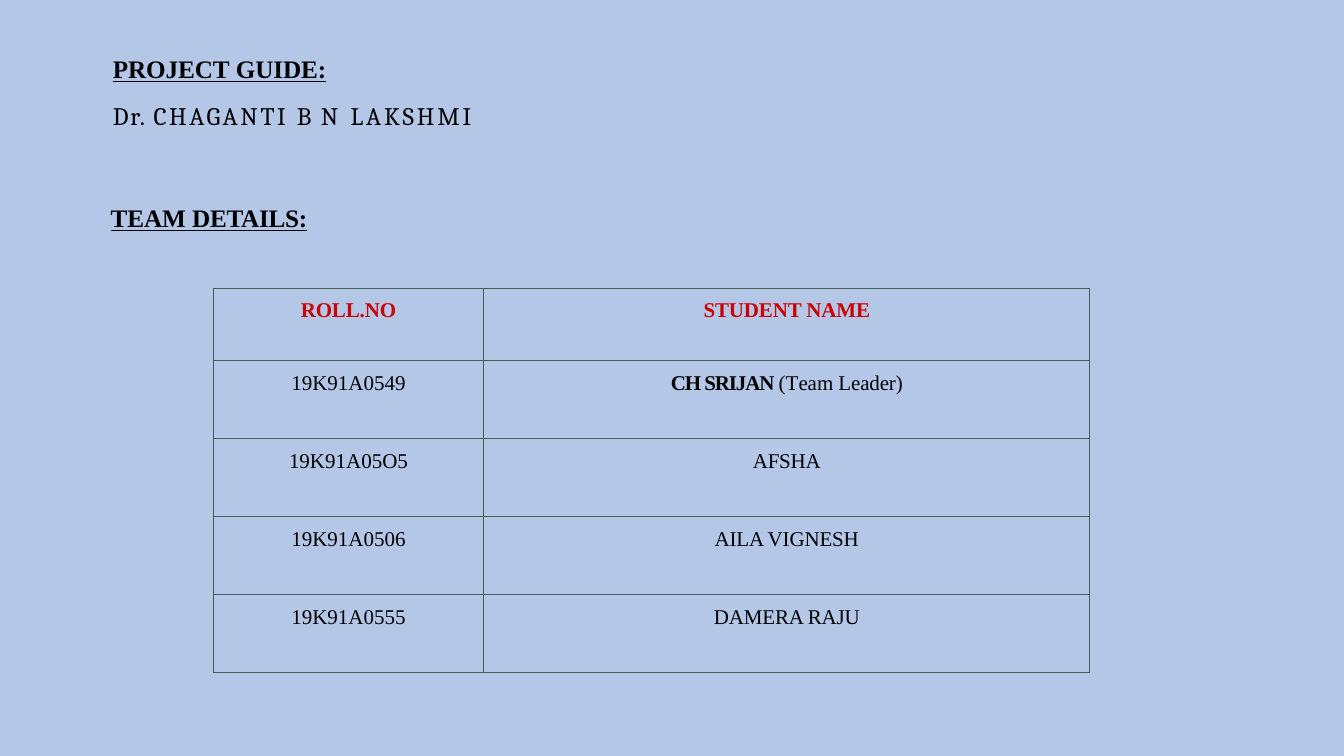
from lxml import etree
from pptx import Presentation
from pptx import util as u
from pptx.dml.color import RGBColor
from pptx.enum import text as t
from pptx.oxml import ns

SKY = RGBColor(0xB4, 0xC7, 0xE7)
BLACK = RGBColor(0, 0, 0)
RED = RGBColor(0xCC, 0, 0)
GREEN = RGBColor(0x45, 0x5F, 0x51)
SERIF = "Times New Roman"
HEAD = dict(size=18, bold=True, line=True)


def write(para, text, size=15, face=SERIF, ink=BLACK, bold=False, line=False, gap=0):
    run = para.add_run()
    run.text = text
    font = run.font
    font.size, font.name, font.bold = u.Pt(size), face, bold
    font.underline = line
    font.color.rgb = ink
    run._r.get_or_add_rPr().set("spc", str(round(gap * 100)))


class Page:
    def __init__(self, deck):
        self.slide = deck.slides.add_slide(deck.slide_layouts[5])
        self.slide.background.fill.solid()
        self.slide.background.fill.fore_color.rgb = SKY

    def block(self, shape, box, lines, indent):
        shape.left, shape.top, shape.width, shape.height = map(u.Pt, box)
        frame = shape.text_frame
        frame.word_wrap = True
        frame.auto_size = t.MSO_AUTO_SIZE.NONE
        frame.vertical_anchor = t.MSO_ANCHOR.TOP
        for i, (style, parts) in enumerate(lines):
            para = frame.add_paragraph() if i else frame.paragraphs[0]
            para.alignment = t.PP_ALIGN.LEFT
            para.line_spacing = 1.0
            para.space_before = u.Pt(12 if i else 0)
            para._p.get_or_add_pPr().set("marL", str(u.Pt(indent)))
            for text, gap in parts:
                write(para, text, gap=gap, **style)

    def title(self, box, lines, indent):
        self.block(self.slide.shapes.title, box, lines, indent)

    def label(self, box, lines, indent):
        shape = self.slide.shapes.add_textbox(*map(u.Pt, box))
        self.block(shape, box, lines, indent)

    def border(self, cell):
        props = cell._tc.get_or_add_tcPr()
        for i, side in enumerate(("lnL", "lnR", "lnT", "lnB")):
            edge = etree.Element(ns.qn("a:" + side), w=str(u.Pt(0.75)))
            fill = etree.SubElement(edge, ns.qn("a:solidFill"))
            etree.SubElement(fill, ns.qn("a:srgbClr"), val=str(GREEN))
            props.insert(i, edge)

    def table(self, box, widths, heights, rows):
        frame = self.slide.shapes.add_table(len(rows), len(widths), *map(u.Pt, box))
        grid = frame.table
        grid.first_row = grid.horz_banding = False
        for col, width in zip(grid.columns, widths):
            col.width = u.Pt(width)
        for r, row in enumerate(rows):
            grid.rows[r].height = u.Pt(heights[r])
            for c, parts in enumerate(row):
                cell = grid.cell(r, c)
                cell.margin_left = cell.margin_right = cell.margin_bottom = 0
                cell.margin_top = u.Pt(8.5 if r else 7.2)
                cell.fill.background()
                self.border(cell)
                para = cell.text_frame.paragraphs[0]
                para.alignment = t.PP_ALIGN.CENTER
                for text, style in parts:
                    write(para, text, **style)


def main():
    deck = Presentation()
    deck.slide_width, deck.slide_height = u.Pt(960), u.Pt(540)
    page = Page(deck)

    page.title((71.3, 34.5, 480, 85.7), [
        (HEAD, [("PROJECT", -0.1), (" ", -0.8), ("GUIDE:", -0.1)]),
        (dict(size=18, face="Cambria"),
         [("Dr. ", 1.3), ("CHAGANTI ", 1.9), ("B ", 1.4), ("N ", 2.4), ("LAKSHMI", 2.1)]),
    ], 2.2)
    page.label((71.3, 141, 480, 30), [
        (HEAD, [("TEAM", -0.1), (" ", -0.4), ("DETAILS:", -0.2)]),
    ], 0.7)

    top = dict(bold=True, ink=RED, gap=-0.1)
    leader = [("CH SRIJAN ", dict(bold=True, gap=-0.8)), ("(", {}),
              ("T", dict(gap=-1.1)), ("ea", dict(gap=-0.1)), ("m", {}),
              (" Leader)", dict(gap=-0.1))]
    team = [
        ("19K91A0549", leader),
        ("19K91A05O5", [("AFSHA", dict(gap=-0.2))]),
        ("19K91A0506", [("AILA VIGNESH", dict(gap=-0.1))]),
        ("19K91A0555", [("DAMERA RAJU", dict(gap=-0.1))]),
    ]
    rows = [([("ROLL.NO", top)], [("STUDENT NAME", top)])]
    rows += [([(roll, {})], name) for roll, name in team]
    page.table((152.2, 206, 626.2, 274.3), (193.5, 432.7),
               [51.5] + [55.7] * len(team), rows)

    deck.save("out.pptx")


if __name__ == "__main__":
    main()
